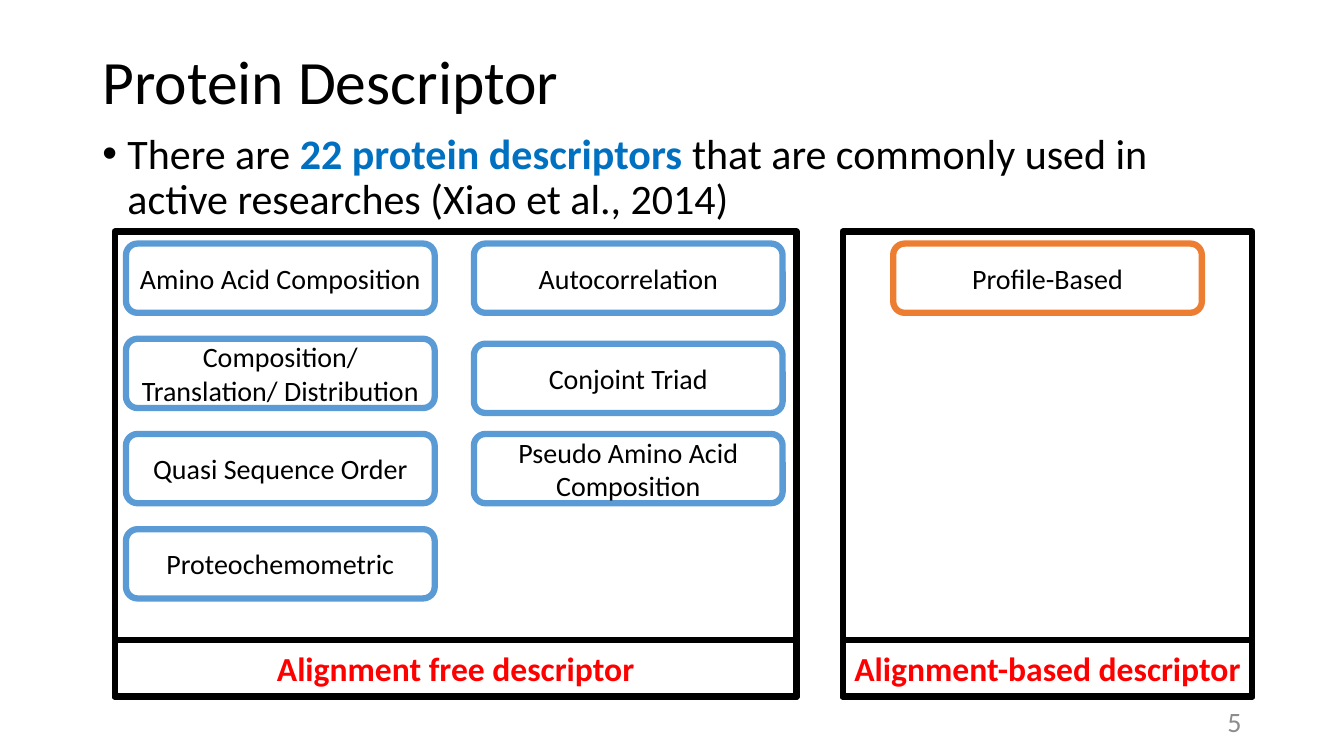
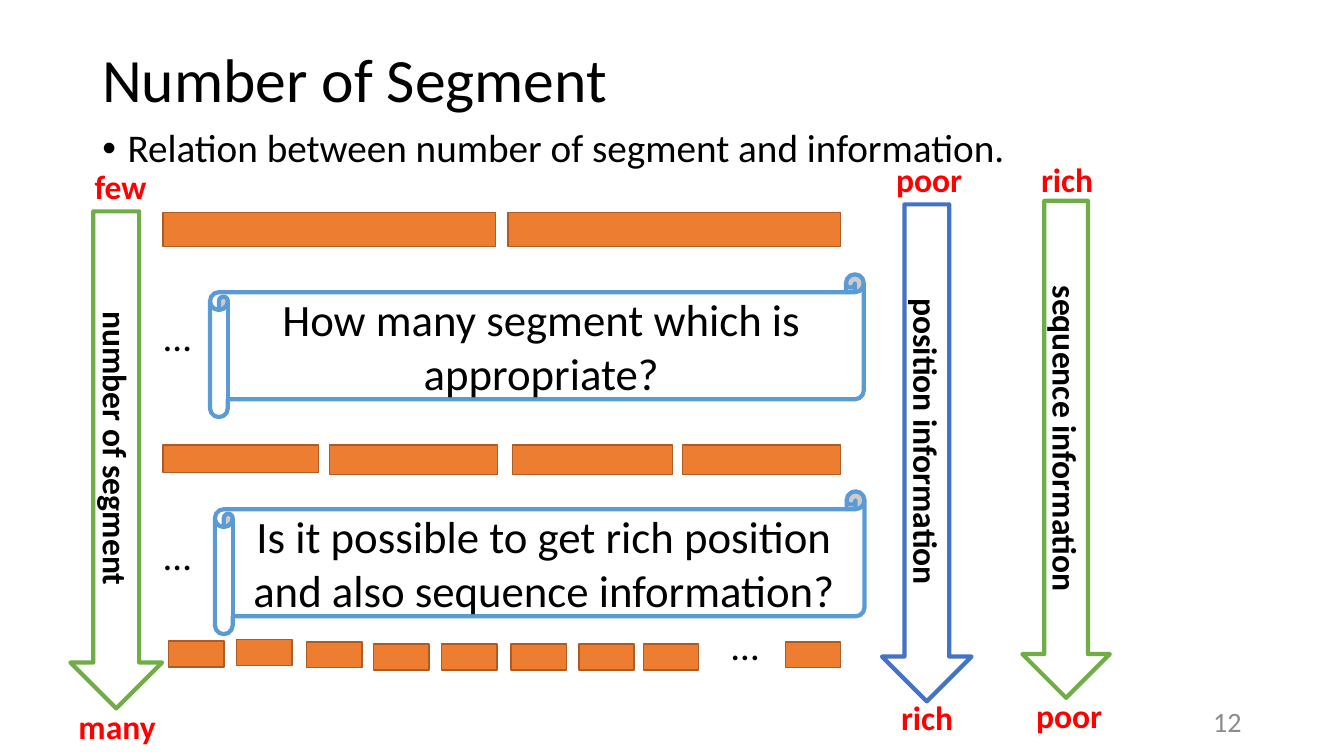
from lxml import etree
from pptx import Presentation
from pptx.dml.color import RGBColor
from pptx.enum.shapes import MSO_SHAPE
from pptx.enum.text import MSO_ANCHOR, PP_ALIGN
from pptx.oxml.ns import qn
from pptx.util import Pt

RECTANGLE = MSO_SHAPE.RECTANGLE
ROUNDED = MSO_SHAPE.ROUNDED_RECTANGLE
ARROW = MSO_SHAPE.RIGHT_ARROW
SCROLL = MSO_SHAPE.HORIZONTAL_SCROLL
LEFT, CENTER, RIGHT = PP_ALIGN.LEFT, PP_ALIGN.CENTER, PP_ALIGN.RIGHT
TOP, MIDDLE = MSO_ANCHOR.TOP, MSO_ANCHOR.MIDDLE

COLORS = {
    "black": "000000", "white": "FFFFFF", "gray": "8C8C8C", "red": "FF0000",
    "accent": "0070C0", "blue": "5B9BD5", "indigo": "4472C4",
    "orange": "ED7D31", "brown": "AF5C24", "green": "70AD47",
}
FONT = "Calibri"
ARROW_LENGTH = 355


def color(name):
    return RGBColor.from_string(COLORS[name])


class Deck:
    """Holds the shared style and the slide being built."""

    def __init__(self):
        self.presentation = Presentation()
        self.presentation.slide_width = Pt(960)
        self.presentation.slide_height = Pt(540)
        self.slide = None

    def new_slide(self, title, number, title_height):
        layout = self.presentation.slide_layouts[6]
        self.slide = self.presentation.slides.add_slide(layout)
        self.text(66, 29, 828, title_height, [(title, {})], 44,
                  anchor=MIDDLE).line_spacing = 0.9
        self.text(678, 500.5, 216, 29, [(str(number), {})], 20,
                  ink="gray", align=RIGHT, anchor=MIDDLE)

    def fill_text(self, shape, runs, size, ink="black", bold=False,
                  align=LEFT, anchor=TOP, wrap=True, side=7.2):
        """Fill a shape with one paragraph of (text, format changes) runs."""
        frame = shape.text_frame
        settings = {"word_wrap": wrap, "vertical_anchor": anchor,
                    "margin_left": Pt(side), "margin_right": Pt(side)}
        for name, value in settings.items():
            setattr(frame, name, value)
        paragraph = frame.paragraphs[0]
        paragraph.alignment = align
        for content, changes in runs:
            style = {"ink": ink, "bold": bold, **changes}
            run = paragraph.add_run()
            run.text = content
            run.font.color.rgb = color(style["ink"])
            formats = {"name": FONT, "size": Pt(size), "bold": style["bold"]}
            for name, value in formats.items():
                setattr(run.font, name, value)
        return paragraph

    def text(self, left, top, width, height, runs, size, **style):
        box = self.slide.shapes.add_textbox(
            Pt(left), Pt(top), Pt(width), Pt(height))
        return self.fill_text(box, runs, size, **style)

    def bullet(self, top, width, runs, size):
        paragraph = self.text(66, top, width, 396, runs, size)
        paragraph.line_spacing = 0.9
        paragraph.space_before = Pt(10)
        properties = paragraph._p.get_or_add_pPr()
        properties.set("marL", str(Pt(18)))
        properties.set("indent", str(-Pt(18)))
        etree.SubElement(properties, qn("a:buFont")).set("typeface", "Arial")
        etree.SubElement(properties, qn("a:buChar")).set("char", "•")

    def label(self, left, top, width, content):
        self.text(left, top, width, 36, [(content, {})], 24,
                  ink="red", bold=True, wrap=False)

    def ellipsis(self, left, top):
        self.text(left, top, 34, 41, [("…", {})], 28, wrap=False)

    def shape(self, kind, left, top, width, height, line, weight,
              fill="white", content=None, size=20, **style):
        shape = self.slide.shapes.add_shape(
            kind, Pt(left), Pt(top), Pt(width), Pt(height))
        shape.shadow.inherit = False
        if fill:
            shape.fill.solid()
            shape.fill.fore_color.rgb = color(fill)
        else:
            shape.fill.background()
        shape.line.color.rgb = color(line)
        shape.line.width = Pt(weight)
        if content:
            self.fill_text(shape, [(content, {})], size, align=CENTER,
                           anchor=MIDDLE, side=5, **style)
        return shape

    def descriptor(self, left, top, content, line="blue"):
        self.shape(ROUNDED, left, top, 220.5, 49.5, line, 4.5,
                   content=content)

    def panel(self, left, width, caption):
        self.shape(RECTANGLE, left, 165.5, width, 332, "black", 4.5,
                   fill=None)
        self.shape(RECTANGLE, left, 457, width, 40.5, "black", 4.5,
                   content=caption, size=24, ink="red", bold=True)

    def segment(self, left, top, width, height):
        self.shape(RECTANGLE, left, top, width, height, "brown", 1,
                   fill="orange")

    def down_arrow(self, center, top, breadth, line, content):
        """Right arrow turned by 90 degrees, so its text runs downwards."""
        arrow = self.shape(
            ARROW, center - ARROW_LENGTH / 2,
            top + (ARROW_LENGTH - breadth) / 2, ARROW_LENGTH, breadth,
            line, 3, content=content, size=24, bold=True)
        arrow.rotation = 90

    def scroll(self, left, top, width, content):
        self.shape(SCROLL, left, top, width, 102, "blue", 3,
                   content=content, size=32)


def build_descriptors(deck):
    deck.new_slide("Protein Descriptor", 5, 62.5)
    deck.bullet(91.5, 828, [
        ("There are ", {}),
        ("22 protein descriptors ", {"ink": "accent", "bold": True}),
        ("that are commonly used in active researches (Xiao et al., 2014)",
         {}),
    ], 30)

    # Descriptor boxes
    left_column = ["Amino Acid Composition",
                   "Composition/Translation/ Distribution",
                   "Quasi Sequence Order", "Proteochemometric"]
    for row, content in enumerate(left_column):
        deck.descriptor(90, 174 + 68 * row, content)
    right_column = {174: "Autocorrelation", 245.5: "Conjoint Triad",
                    310: "Pseudo Amino Acid Composition"}
    for top, content in right_column.items():
        deck.descriptor(338.5, top, content)
    deck.descriptor(638, 174, "Profile-Based", line="orange")

    # Captioned panels
    deck.panel(82, 487, "Alignment free descriptor")
    deck.panel(602, 292.5, "Alignment-based descriptor")


def build_segments(deck):
    deck.new_slide("Number of Segment", 12, 60)
    deck.bullet(88.5, 840, [
        ("Relation between number of segment and information.", {})], 28)

    # Two and four segments
    for left in (116.5, 363):
        deck.segment(left, 152, 237.5, 24)
    for left, width, height in ((116.5, 111, 19.5), (235.5, 120, 21),
                                (366, 114.5, 21), (487.5, 113, 21)):
        deck.segment(left, 318, width, height)
    for top in (219.5, 376):
        deck.ellipsis(110, top)

    # Arrows and the labels at their ends
    deck.down_arrow(83, 151, 65.5, "green", "number of segment")
    deck.down_arrow(662, 146, 64, "indigo", "position information")
    deck.down_arrow(761.5, 143.5, 62.5, "green", "sequence information")
    for left, top, width, content in (
            (60.5, 115, 52, "few"), (49, 501, 75, "many"),
            (633, 110, 64, "poor"), (636.5, 494.5, 57, "rich"),
            (736.5, 110, 57, "rich"), (733, 492.5, 62, "poor")):
        deck.label(left, top, width, content)

    # Many segments
    for left, top in ((120.5, 458), (169, 457), (219, 458.5), (267, 460),
                      (315.5, 460), (365, 460), (413.5, 460), (459.5, 460),
                      (561, 458.5)):
        deck.segment(left, top, 39.5, 18.5)
    deck.ellipsis(515.5, 440)

    # Questions
    deck.scroll(150, 196, 467, "How many segment which is appropriate?")
    deck.scroll(153.5, 351, 464, "Is it possible to get rich position "
                                 "and also sequence information?")


def main():
    deck = Deck()
    build_descriptors(deck)
    build_segments(deck)
    deck.presentation.save("out.pptx")


if __name__ == "__main__":
    main()
